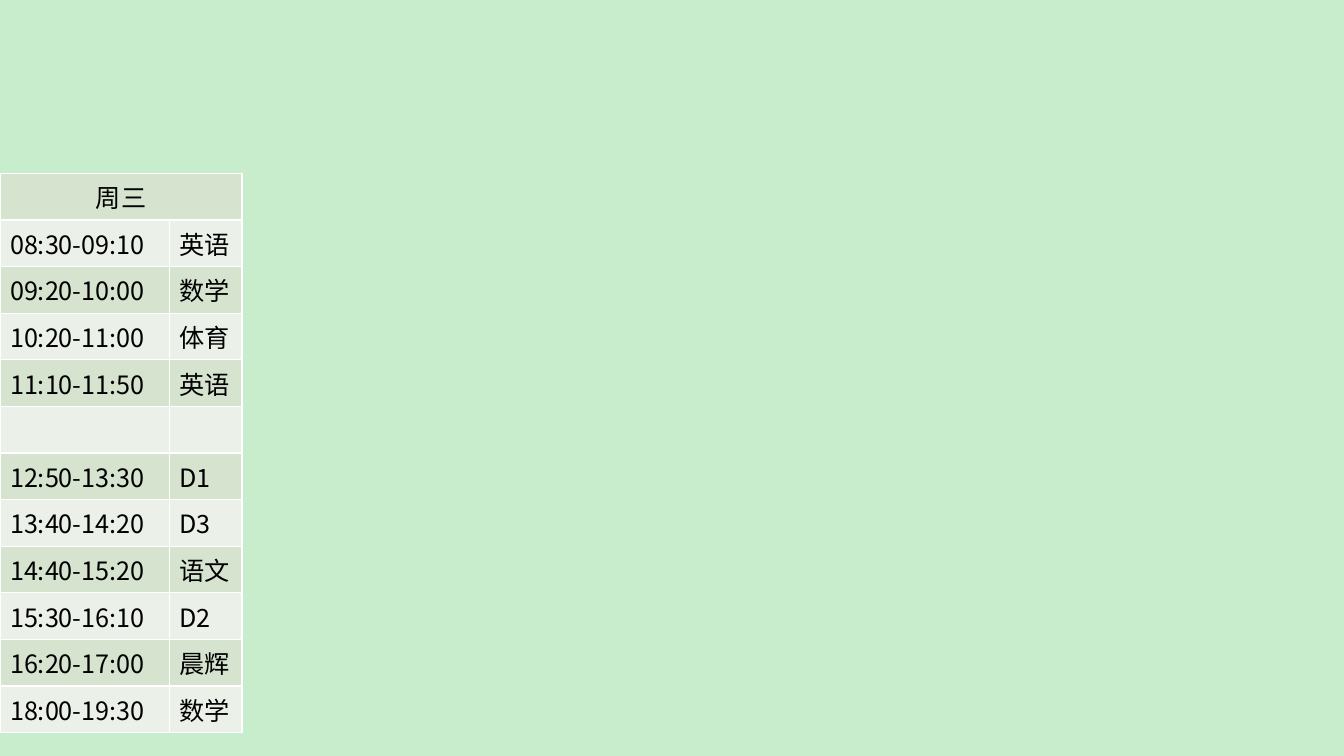
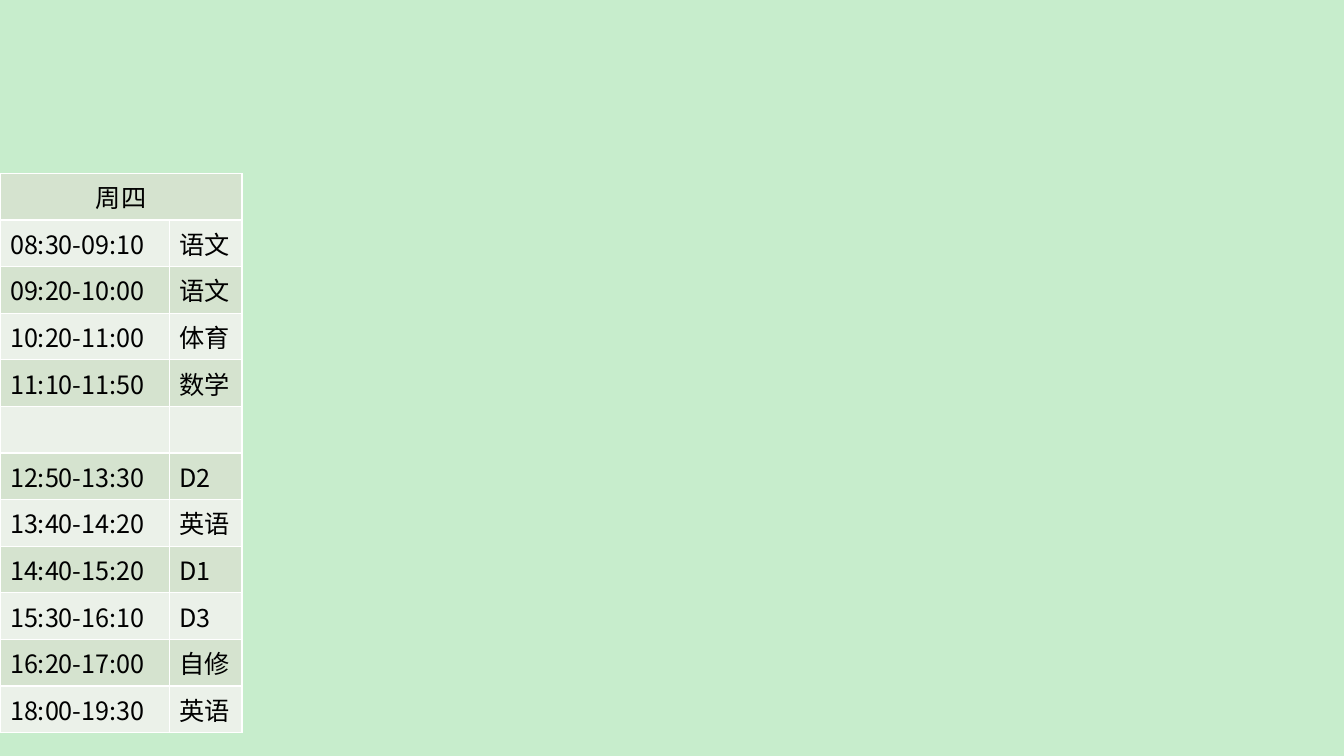
from lxml import etree
from pptx import Presentation
from pptx import util as u
from pptx.dml.color import RGBColor
from pptx.enum import text
from pptx.oxml import ns

COLORS = {
    "background": "C7EDCC",
    "band_dark": "D5E3CF",
    "band_light": "EBF1E9",
    "border": "FFFFFF",
    "text": "000000",
}
FONT = "Noto Sans CJK SC"
COLUMN_SHARES = (0.7, 0.3)
TIMETABLE_BOX = (u.Cm(0), u.Cm(4.37), u.Cm(6.1), u.Cm(14.04))

# An empty period is the lunch break
PERIODS = (
    "08:30-09:10", "09:20-10:00", "10:20-11:00", "11:10-11:50", "",
    "12:50-13:30", "13:40-14:20", "14:40-15:20", "15:30-16:10",
    "16:20-17:00", "18:00-19:30",
)
TIMETABLES = {
    "周三": ("英语", "数学", "体育", "英语", "",
           "D1", "D3", "语文", "D2", "晨辉", "数学"),
    "周四": ("语文", "语文", "体育", "数学", "",
           "D2", "英语", "D1", "D3", "自修", "英语"),
}


def rgb(name):
    return RGBColor.from_string(COLORS[name])


def add_borders(cell):
    properties = cell._tc.get_or_add_tcPr()
    for side in ("lnL", "lnR", "lnT", "lnB"):
        line = etree.SubElement(properties, ns.qn(f"a:{side}"), w=str(u.Pt(1)))
        fill = etree.SubElement(line, ns.qn("a:solidFill"))
        etree.SubElement(fill, ns.qn("a:srgbClr"), val=COLORS["border"])


def style_cell(cell, band):
    add_borders(cell)
    cell.fill.solid()
    cell.fill.fore_color.rgb = rgb(band)
    paragraph = cell.text_frame.paragraphs[0]
    paragraph.font.name = FONT
    paragraph.font.size = u.Pt(18)
    paragraph.font.color.rgb = rgb("text")


def add_timetable(slide, box, day, lessons):
    left, top, width, height = box
    rows = [(day, ""), *zip(PERIODS, lessons)]
    shape = slide.shapes.add_table(len(rows), 2, left, top, width, height)
    table = shape.table
    table.first_row = False
    table.horz_banding = False
    for column, share in zip(table.columns, COLUMN_SHARES):
        column.width = int(width * share)

    # Alternating bands
    for row_index, row in enumerate(rows):
        band = "band_light" if row_index % 2 else "band_dark"
        for column_index, value in enumerate(row):
            cell = table.cell(row_index, column_index)
            if value:
                cell.text = value
            style_cell(cell, band)

    # Day heading across both columns
    heading = table.cell(0, 0)
    heading.merge(table.cell(0, 1))
    heading.text_frame.paragraphs[0].alignment = text.PP_ALIGN.CENTER


def main():
    presentation = Presentation()
    presentation.slide_width = u.Cm(33.87)
    presentation.slide_height = u.Cm(19.05)

    # Shared background
    background = presentation.slide_master.background.fill
    background.solid()
    background.fore_color.rgb = rgb("background")

    for day, lessons in TIMETABLES.items():
        slide = presentation.slides.add_slide(presentation.slide_layouts[6])
        add_timetable(slide, TIMETABLE_BOX, day, lessons)
    presentation.save("out.pptx")


if __name__ == "__main__":
    main()
